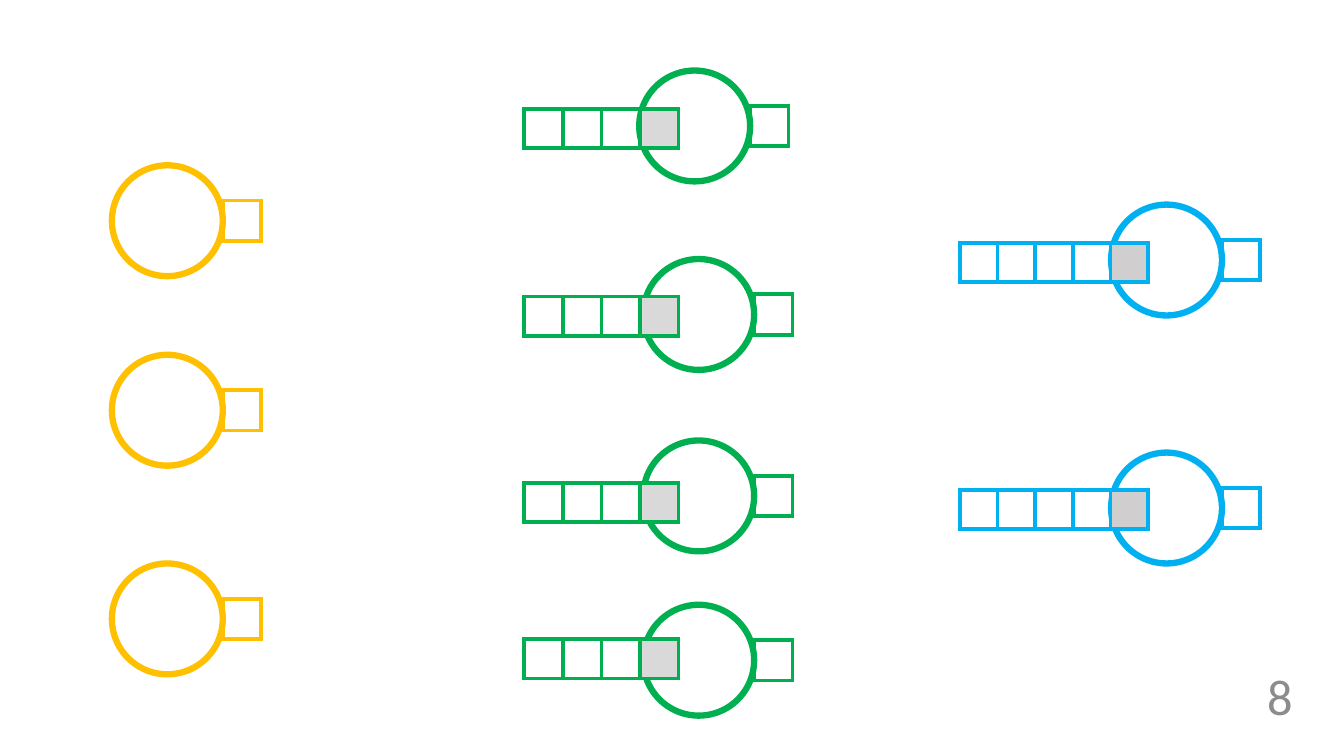
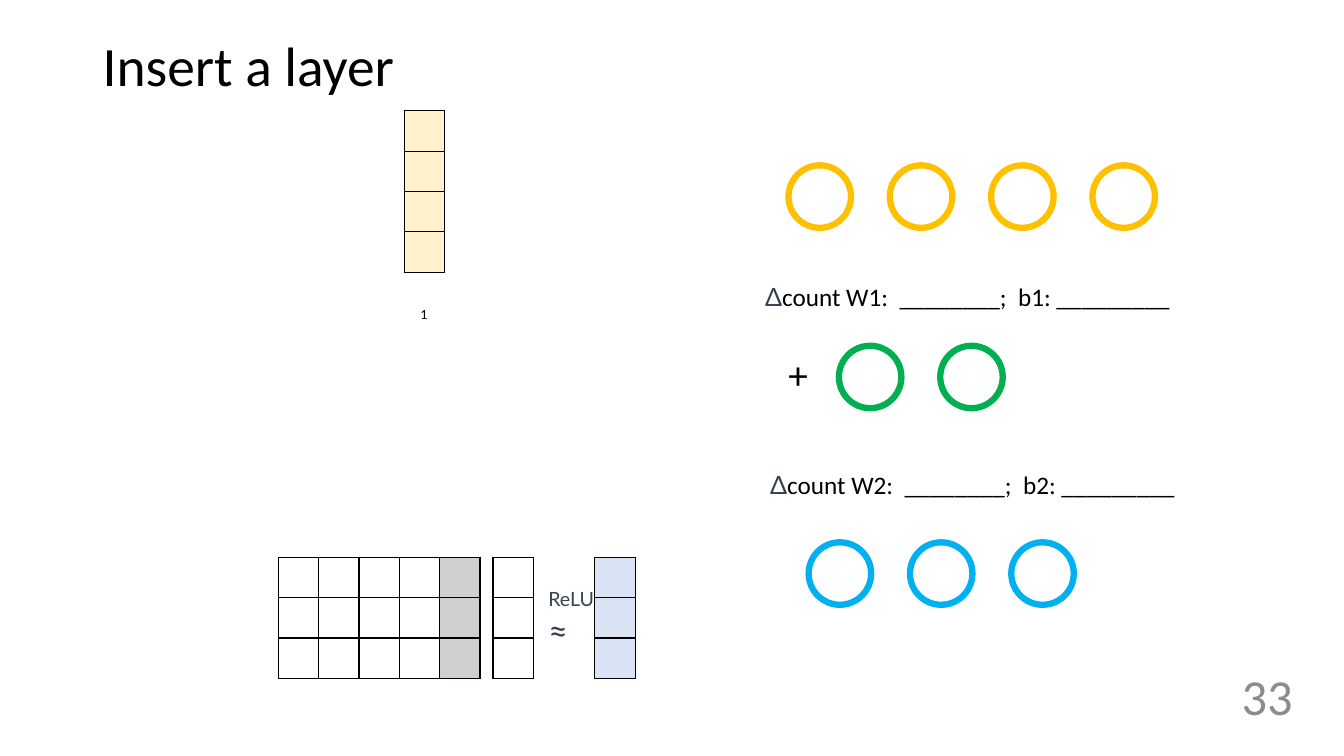
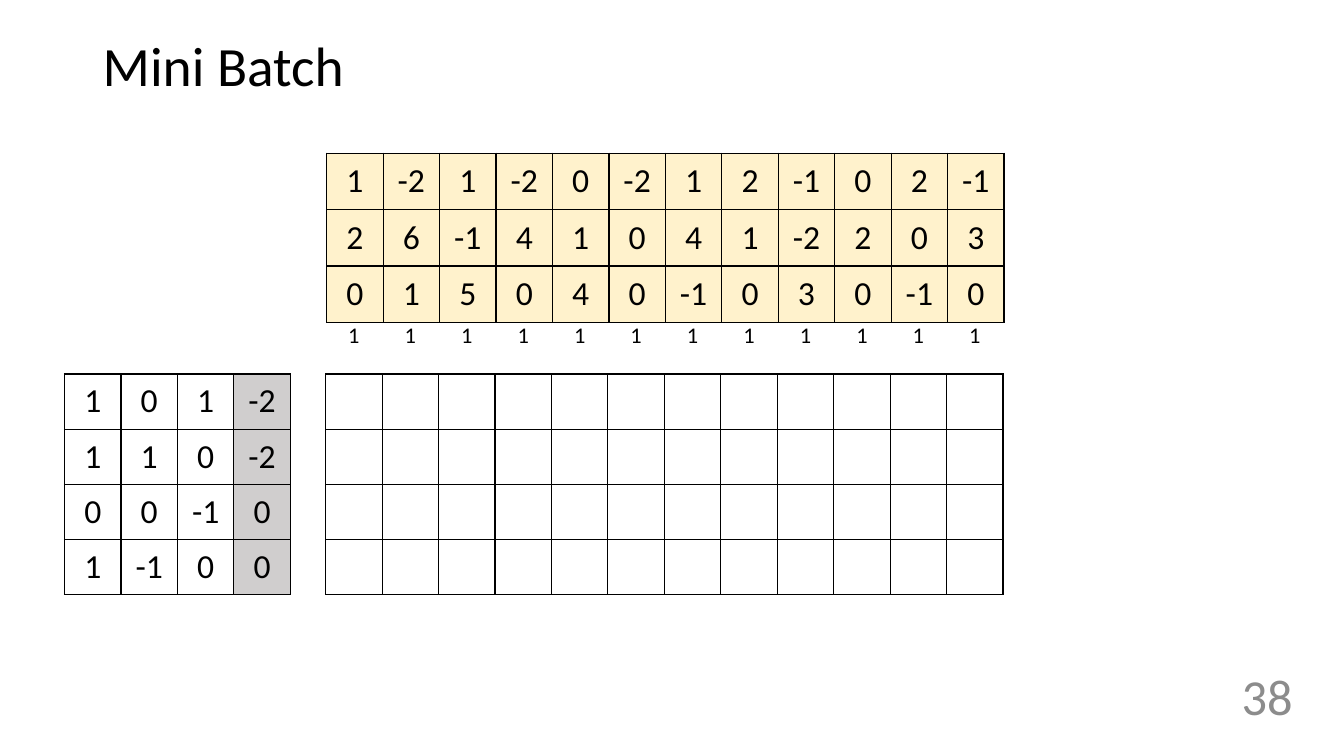
"""Three slides on network layers: neurons, an inserted layer and a mini batch."""
from lxml import etree
from pptx import Presentation
from pptx import util as u
from pptx.dml import color
from pptx.enum import shapes, text
from pptx.oxml import ns

rgb = color.RGBColor.from_string
GOLD, GREEN, BLUE = "FFC000", "00B050", "00B0F0"
BLACK, SLATE, GREY = "000000", "374151", "8C8C8C"
CREAM, PALE, ASH, SILVER = "FFF2CC", "DAE3F3", "D0CECE", "D9D9D9"


def write(page, left, top, wide, high, lines):
    """Add a text box from lines of (words, size, font, colour) runs."""
    box = page.shapes.add_textbox(u.Inches(left), u.Inches(top), u.Inches(wide), u.Inches(high))
    frame = box.text_frame
    frame.word_wrap = True
    for i, line in enumerate(lines):
        para = frame.add_paragraph() if i else frame.paragraphs[0]
        for words, size, font, tone in line:
            run = para.add_run()
            run.text = words
            run.font.size = u.Pt(size)
            run.font.name = font
            run.font.color.rgb = rgb(tone)
    return frame


def grid(page, left, top, wide, high, rows, fills, edge=BLACK, width=1, size=24):
    """Add a table with one fill per column; an edge of None draws no borders."""
    count = len(fills)
    table = page.shapes.add_table(len(rows), count, u.Inches(left), u.Inches(top),
                                  u.Inches(wide), u.Inches(high)).table
    table.first_row = table.horz_banding = False
    for col in table.columns:
        col.width = u.Inches(wide / count)
    for r, row in enumerate(rows):
        table.rows[r].height = u.Inches(high / len(rows))
        for c, words in enumerate(row):
            cell = table.cell(r, c)
            cell.margin_left = cell.margin_right = u.Inches(0.09)
            cell.margin_top = cell.margin_bottom = u.Inches(0.04)
            cell.vertical_anchor = text.MSO_ANCHOR.MIDDLE
            props = cell._tc.get_or_add_tcPr()
            for side in ("a:lnL", "a:lnR", "a:lnT", "a:lnB"):
                line = etree.SubElement(props, ns.qn(side), w=str(u.Pt(width)))
                if edge:
                    paint = etree.SubElement(line, ns.qn("a:solidFill"))
                    etree.SubElement(paint, ns.qn("a:srgbClr"), val=edge)
                else:
                    etree.SubElement(line, ns.qn("a:noFill"))
            if fills[c]:
                cell.fill.solid()
                cell.fill.fore_color.rgb = rgb(fills[c])
            else:
                cell.fill.background()
            if words:
                para = cell.text_frame.paragraphs[0]
                para.alignment = text.PP_ALIGN.CENTER
                run = para.add_run()
                run.text = words
                run.font.size = u.Pt(size)
                run.font.name = "Calibri"
                run.font.color.rgb = rgb(BLACK)


deck = Presentation()
deck.slide_width, deck.slide_height = u.Inches(13.33), u.Inches(7.5)
pages = []
for title, number in (("", "8"), ("Insert a layer", "33"), ("Mini Batch", "38")):
    page = deck.slides.add_slide(deck.slide_layouts[6])
    pages.append(page)
    if title:
        frame = write(page, 0.92, 0.4, 11.5, 0.55, [[(title, 39.6, "Calibri", BLACK)]])
        frame.vertical_anchor = text.MSO_ANCHOR.MIDDLE
        frame.paragraphs[0].line_spacing = 0.9
    frame = write(page, 11.67, 6.47, 1.25, 0.86, [[(number, 36, "Calibri", GREY)]])
    frame.vertical_anchor = text.MSO_ANCHOR.MIDDLE
    frame.paragraphs[0].alignment = text.PP_ALIGN.RIGHT
cells, layer, batch = pages

nodes = [(GOLD, 1.11, y) for y in (1.64, 3.52, 5.59)]
nodes += [(GREEN, 6.34, 0.7), (GREEN, 6.38, 2.57), (GREEN, 6.38, 4.37), (GREEN, 6.38, 6)]
nodes += [(BLUE, 11.02, y) for y in (2.03, 4.49)]
rings = [(cells, tone, x, y, 1.1) for tone, x, y in nodes]
for tone, left, top, count in ((GOLD, 7.82, 1.64, 4), (GREEN, 8.32, 3.43, 2), (BLUE, 8.02, 5.38, 3)):
    rings += [(layer, tone, left + 1.005 * i, top, 0.62) for i in range(count)]
for page, tone, left, top, size in rings:
    ring = page.shapes.add_shape(shapes.MSO_SHAPE.OVAL, u.Inches(left), u.Inches(top),
                                 u.Inches(size), u.Inches(size))
    ring.shadow.inherit = False
    ring.fill.background()
    ring.line.color.rgb = rgb(tone)
    ring.line.width = u.Pt(4.5)

for tone, left, top in nodes:
    grid(cells, left + 1.1, top + 0.35, 0.38, 0.4, [[""]], [None], tone, 3)
for top in (1.08, 2.94, 4.79, 6.34):
    grid(cells, 5.2, top, 1.53, 0.39, [[""] * 4], [None] * 3 + [SILVER], GREEN, 3)
for top in (2.41, 4.86):
    grid(cells, 9.52, top, 1.87, 0.39, [[""] * 5], [None] * 4 + [ASH], BLUE, 3)

write(layer, 7.72, 3.43, 0.4, 0.57, [[("+", 28, "Calibri", BLACK)]])
for left, top, n in ((7.49, 2.74, 1), (7.54, 4.61, 2)):
    write(layer, left, top, 4.5, 0.4, [[
        ("Δ", 18, "Lato", SLATE),
        (f"count W{n}:  ________;  b{n}: _________", 18, "Calibri", BLACK)]])
for left, top, count, fills in (
        (4.01, 1.1, 4, [CREAM]), (2.76, 5.53, 3, [None] * 4 + [ASH]),
        (4.89, 5.53, 3, [None]), (5.9, 5.53, 3, [PALE])):
    wide = len(fills)
    grid(layer, left, top, 0.4 * wide, 0.4 * count, [[""] * wide] * count, fills)
write(layer, 5.34, 5.77, 0.76, 0.74, [[("ReLU", 14, "Lato", SLATE)], [("≈", 24, "Lato", SLATE)]])
write(layer, 4.07, 2.98, 0.35, 0.27, [[("1", 10, "Calibri", BLACK)]])

inputs = ["1 -2 1 -2 0 -2 1 2 -1 0 2 -1",
          "2 6 -1 4 1 0 4 1 -2 2 0 3",
          "0 1 5 0 4 0 -1 0 3 0 -1 0"]
weights = ["1 0 1 -2", "1 1 0 -2", "0 0 -1 0", "1 -1 0 0"]
grid(batch, 3.24, 1.52, 6.72, 1.68, [row.split() for row in inputs], [CREAM] * 12)
grid(batch, 0.64, 3.71, 2.24, 2.19, [row.split() for row in weights], [None] * 3 + [ASH])
grid(batch, 3.23, 3.71, 6.72, 2.19, [[""] * 12] * 4, [None] * 12)
grid(batch, 3.23, 3.16, 6.72, 0.35, [["1"] * 12], [None] * 12, None, size=16)

deck.save("out.pptx")
